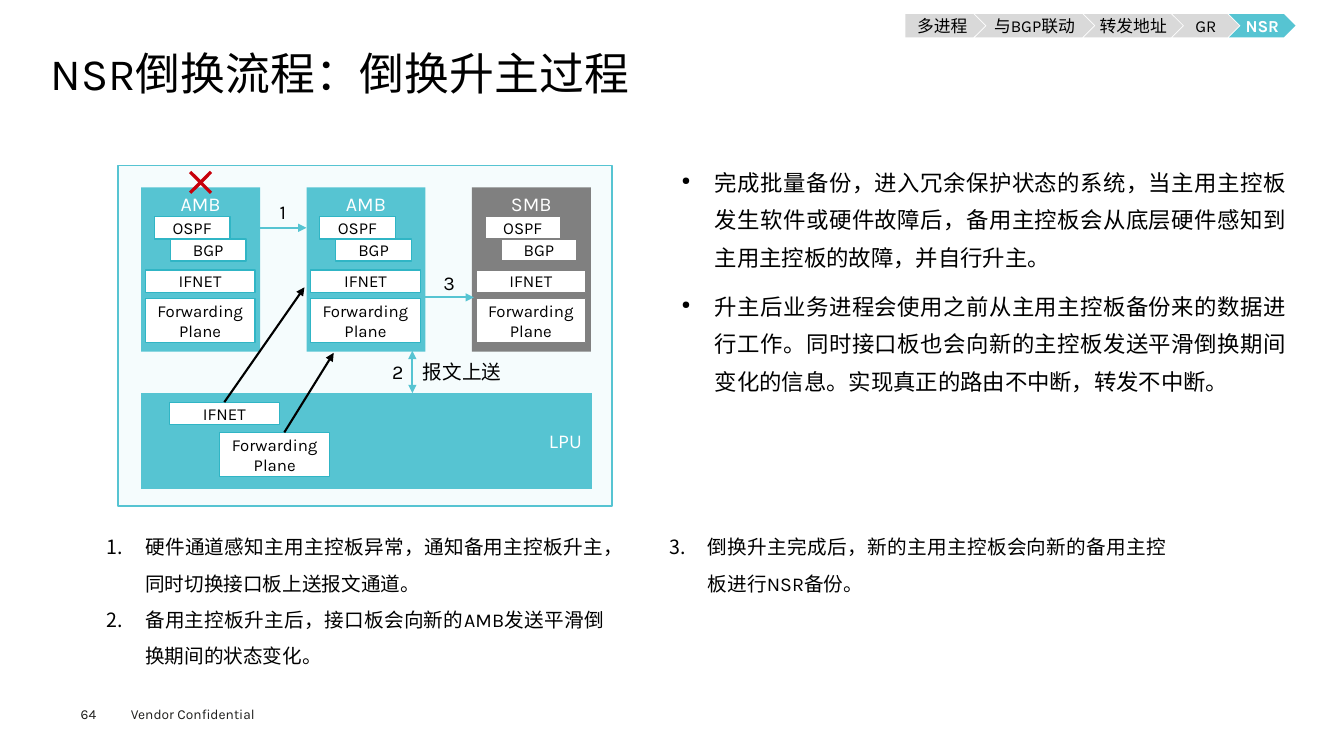
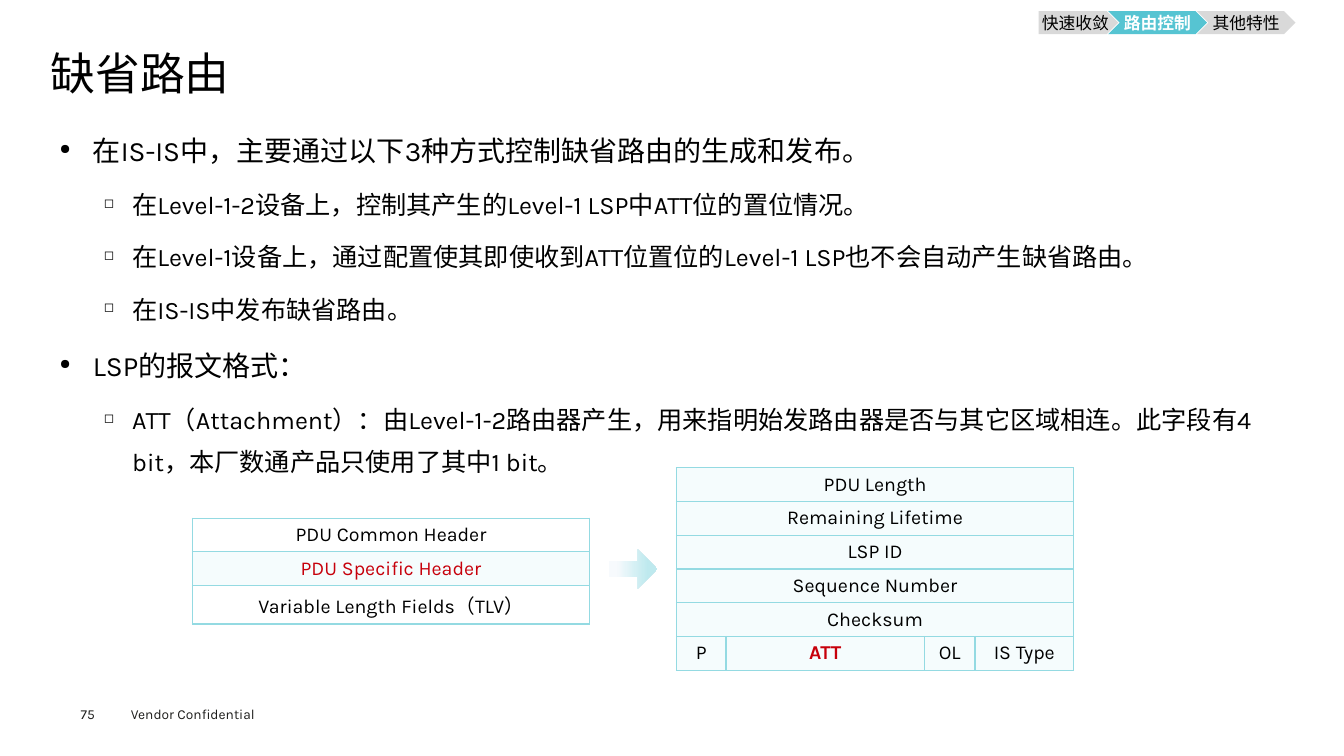
import pptx
import pptx.util
import pptx.dml.color
import pptx.enum.dml
import pptx.enum.shapes
import pptx.enum.text
import pptx.oxml
import pptx.oxml.ns

FONT = "Karla"
COLORS = {
    "ink": "000000", "footer": "1D1D1B", "white": "FFFFFF", "teal": "56C4D2",
    "teal_edge": "30B5C5", "grid": "94DAE2", "pale": "F5FCFD", "gray": "808080",
    "tab": "D9D9D9", "red": "C7000B", "fade": "F7FAFD", "arrow": "BEE9EE",
}
SHAPE = pptx.enum.shapes.MSO_SHAPE
ALIGN = pptx.enum.text.PP_ALIGN
ANCHOR = pptx.enum.text.MSO_ANCHOR
INSET = (10, 5, 10, 5)
TABS_RIGHT, TAB_OVERLAP, TAB_HEIGHT = 1285, 10, 23
FOOTER = "Vendor Confidential"

SWITCHOVER = {
    "title": "NSR倒换流程：倒换升主过程",
    "page": "64",
    "tabs": [("多进程", 79), ("与BGP联动", 118), ("转发地址", 98), ("GR", 66), ("NSR", 66)],
    "tabs_top": 14,
    "current": "NSR",
    "body_box": (667, 153, 618, 253),
    "body": [
        (0, 16, "完成批量备份，进入冗余保护状态的系统，当主用主控板发生软件或硬件故障后，"
                "备用主控板会从底层硬件感知到主用主控板的故障，并自行升主。"),
        (0, 16, "升主后业务进程会使用之前从主用主控板备份来的数据进行工作。同时接口板也会向新的"
                "主控板发送平滑倒换期间变化的信息。实现真正的路由不中断，转发不中断。"),
    ],
}
BOARDS = [("AMB", 140, "teal", "teal_edge"), ("AMB", 304, "teal", "teal_edge"),
          ("SMB", 468, "gray", "gray")]
# name, offset from the board's left, top, width, height
MODULES = [("OSPF", 13, 215, 75, 22), ("BGP", 29, 237, 75, 22),
           ("IFNET", 4, 268, 109, 22), ("Forwarding Plane", 4, 296, 109, 44)]
LABELS = [("1", (262, 193, 37, 34)), ("2", (376, 352, 37, 34)),
          ("3", (427, 264, 37, 34)), ("报文上送", (408, 352, 101, 34))]
# start, end, colour, arrowheads
ARROWS = [((256, 226), (304, 226), "teal", ["tail"]),
          ((422, 295), (470, 295), "teal", ["tail"]),
          ((409, 348), (409, 390), "teal", ["head", "tail"]),
          ((282, 429), (331, 350), "ink", ["tail"])]
STEP_COLUMNS = [
    (98, 1, ["硬件通道感知主用主控板异常，通知备用主控板升主，同时切换接口板上送报文通道。",
             "备用主控板升主后，接口板会向新的AMB发送平滑倒换期间的状态变化。"]),
    (656, 3, ["倒换升主完成后，新的主用主控板会向新的备用主控板进行NSR备份。"]),
]

DEFAULT_ROUTE = {
    "title": "缺省路由",
    "page": "75",
    "tabs": [("快速收敛", 79), ("路由控制", 98), ("其他特性", 98)],
    "tabs_top": 11,
    "current": "路由控制",
    "body_box": (50, 115, 1235, 356),
    "body": [
        (0, 20, "在IS-IS中，主要通过以下3种方式控制缺省路由的生成和发布。"),
        (1, 18, "在Level-1-2设备上，控制其产生的Level-1 LSP中ATT位的置位情况。"),
        (1, 18, "在Level-1设备上，通过配置使其即使收到ATT位置位的Level-1 LSP也不会自动产生缺省路由。"),
        (1, 18, "在IS-IS中发布缺省路由。"),
        (0, 20, "LSP的报文格式："),
        (1, 18, "ATT（Attachment）：由Level-1-2路由器产生，用来指明始发路由器是否与其它区域相连。"
                "此字段有4 bit，本厂数通产品只使用了其中1 bit。"),
    ],
}
# each cell: text, fill, text colour, bold
PDU_ROWS = [
    [("PDU Common Header", "white", "ink", False)],
    [("PDU Specific Header", "pale", "red", False)],
    [("Variable Length Fields（TLV）", "white", "ink", False)],
]
HEADER_ROWS = [[(field, "pale", "ink", False)] for field in
               ("PDU Length", "Remaining Lifetime", "LSP ID", "Sequence Number", "Checksum")]
HEADER_ROWS.append([("P", "pale", "ink", False), ("ATT", "pale", "red", True),
                    ("OL", "pale", "ink", False), ("IS Type", "pale", "ink", False)])

# left margin, hanging indent, space before, bullet, alignment
LEVELS = [(33, 33, 7.9, "●", ALIGN.JUSTIFY), (72, 28, 7.2, "◻", ALIGN.LEFT)]


def px(length):
    """Convert px, 100 to the inch, into EMU."""
    return pptx.util.Emu(round(length * 9144))


def rgb(name):
    return pptx.dml.color.RGBColor.from_string(COLORS[name])


def child(parent, tag, **attributes):
    element = pptx.oxml.parse_xml(f"<a:{tag} {pptx.oxml.ns.nsdecls('a')}/>")
    for key, value in attributes.items():
        element.set(key, str(value))
    parent.append(element)
    return element


def style(paragraph, size, color="ink", bold=False, align=ALIGN.LEFT):
    paragraph.alignment = align
    font = paragraph.font
    font.name, font.size, font.bold = FONT, pptx.util.Pt(size), bold
    font.color.rgb = rgb(color)


def set_frame(frame, inset=INSET, anchor=ANCHOR.TOP):
    frame.word_wrap = True
    frame.auto_size = pptx.enum.text.MSO_AUTO_SIZE.NONE
    frame.vertical_anchor = anchor
    (frame.margin_left, frame.margin_top,
     frame.margin_right, frame.margin_bottom) = map(px, inset)


def add_text(slide, box, text="", size=14, color="ink", align=ALIGN.LEFT, inset=INSET):
    frame = slide.shapes.add_textbox(*map(px, box)).text_frame
    set_frame(frame, inset)
    if text:
        frame.text = text
        style(frame.paragraphs[0], size, color, align=align)
    return frame


def add_box(slide, box, fill, edge=None, text="", size=12, color="ink", bold=False,
            align=ALIGN.CENTER, anchor=ANCHOR.MIDDLE, inset=INSET, kind=SHAPE.RECTANGLE):
    shape = slide.shapes.add_shape(kind, *map(px, box))
    shape.shadow.inherit = False
    shape.fill.solid()
    shape.fill.fore_color.rgb = rgb(fill)
    if edge:
        shape.line.color.rgb = rgb(edge)
        shape.line.width = pptx.util.Pt(1)
    else:
        shape.line.fill.background()
    if text:
        set_frame(shape.text_frame, inset, anchor)
        shape.text_frame.text = text
        style(shape.text_frame.paragraphs[0], size, color, bold, align)
    return shape


def add_arrow(slide, start, end, color, ends):
    arrow = slide.shapes.add_connector(pptx.enum.shapes.MSO_CONNECTOR.STRAIGHT,
                                       *map(px, (*start, *end)))
    arrow.line.color.rgb = rgb(color)
    arrow.line.width = pptx.util.Pt(1.5)
    properties = arrow.line.color and arrow._element.spPr
    for which in ends:
        child(properties.find(pptx.oxml.ns.qn("a:ln")), which + "End", type="triangle")
    child(properties, "effectLst")
    return arrow


def add_list_item(frame, index, text, margin, hanging):
    paragraph = frame.add_paragraph() if index else frame.paragraphs[0]
    paragraph.text = text
    properties = paragraph._p.get_or_add_pPr()
    properties.set("marL", str(px(margin)))
    properties.set("indent", str(-px(hanging)))
    return paragraph, properties


def add_bullets(slide, box, items):
    frame = add_text(slide, box, inset=(9, 4, 9, 4))
    for index, (level, size, text) in enumerate(items):
        margin, hanging, before, bullet, align = LEVELS[level]
        paragraph, properties = add_list_item(frame, index, text, margin, hanging)
        paragraph.level = level
        paragraph.line_spacing = 1.4
        paragraph.space_before = pptx.util.Pt(before if index else 0)
        child(properties, "buSzPct", val=50000)
        child(properties, "buChar", char=bullet)
        style(paragraph, size, align=align)


def add_steps(slide, left, first, steps):
    frame = add_text(slide, (left, 514, 509, 151), inset=(8, 4, 8, 4))
    for index, step in enumerate(steps):
        paragraph, properties = add_list_item(frame, index, step, 38, 38)
        paragraph.line_spacing = pptx.util.Pt(26)
        child(properties, "buAutoNum", type="arabicPeriod", startAt=first)
        style(paragraph, 14, align=ALIGN.JUSTIFY)


def add_field_table(slide, left, top, height, widths, rows):
    """Draw packet fields; a row with one field spans all columns."""
    table = slide.shapes.add_table(len(rows), len(widths), px(left), px(top),
                                   px(sum(widths)), px(height)).table
    table.first_row = table.horz_banding = False
    for column, width in zip(table.columns, widths):
        column.width = px(width)
    for r, fields in enumerate(rows):
        table.rows[r].height = px(height / len(rows))
        if len(fields) < len(widths):
            table.cell(r, 0).merge(table.cell(r, len(widths) - 1))
        for c, (text, fill, color, bold) in enumerate(fields):
            cell = table.cell(r, c)
            cell.text = text
            cell.vertical_anchor = ANCHOR.MIDDLE
            style(cell.text_frame.paragraphs[0], 14, color, bold, ALIGN.CENTER)
            cell.fill.solid()
            cell.fill.fore_color.rgb = rgb(fill)
        for c in range(len(widths)):
            add_borders(table.cell(r, c))


def add_borders(cell):
    properties = cell._tc.get_or_add_tcPr()
    for index, side in enumerate("LRTB"):
        border = child(properties, "ln" + side, w=pptx.util.Pt(1))
        child(child(border, "solidFill"), "srgbClr", val=COLORS["grid"])
        properties.insert(index, border)


def add_tabs(slide, tabs, current, top):
    left = TABS_RIGHT - sum(width for _, width in tabs) + TAB_OVERLAP * (len(tabs) - 1)
    for index, (text, width) in enumerate(tabs):
        active = text == current
        add_box(slide, (left, top, width, TAB_HEIGHT), "teal" if active else "tab",
                text=text, color="white" if active else "ink", bold=active,
                inset=(0, 0, 0, 0), kind=SHAPE.CHEVRON if index else SHAPE.PENTAGON)
        left += width - TAB_OVERLAP


def add_slide(deck, content):
    """Add a slide with the shared title, tabs, body and footer."""
    slide = deck.slides.add_slide(deck.slide_layouts[5])
    title = slide.shapes.title
    title.left, title.top, title.width, title.height = map(px, (50, 49, 1235, 53))
    set_frame(title.text_frame, (0, 0, 0, 0), ANCHOR.MIDDLE)
    title.text_frame.text = content["title"]
    heading = title.text_frame.paragraphs[0]
    heading.line_spacing = 0.9
    style(heading, 32)
    add_bullets(slide, content["body_box"], content["body"])
    add_tabs(slide, content["tabs"], content["current"], content["tabs_top"])
    add_text(slide, (120, 695, 160, 27), FOOTER, 9.8, "footer")
    add_text(slide, (80, 700, 55, 16), content["page"], 9.8, "footer", inset=(0, 0, 0, 0))
    return slide


def draw_switchover(slide):
    add_box(slide, (117, 164, 490, 338), "pale", "teal")
    for name, left, fill, edge in BOARDS:
        add_box(slide, (left, 186, 118, 163), fill, text=name, size=14, color="white",
                anchor=ANCHOR.TOP)
        for module, offset, top, width, height in MODULES:
            add_box(slide, (left + offset, top, width, height), "white", edge, module)
    add_box(slide, (140, 390, 447, 95), "teal", text="LPU", size=14, color="white",
            align=ALIGN.RIGHT)
    ifnet = add_box(slide, (168, 399, 109, 22), "white", "teal_edge", "IFNET")
    add_box(slide, (218, 429, 109, 44), "white", "teal_edge", "Forwarding Plane")
    for arrow in ARROWS:
        add_arrow(slide, *arrow)
    add_arrow(slide, (223, 399), (302, 285), "ink", ["tail"]).begin_connect(ifnet, 0)
    for text, box in LABELS:
        add_text(slide, box, text, align=ALIGN.CENTER, inset=(0, 5, 0, 5))
    failure = add_box(slide, (179, 161, 40, 40), "red", kind=SHAPE.MATH_MULTIPLY)
    failure.adjustments[0] = 0.08
    for column in STEP_COLUMNS:
        add_steps(slide, *column)


def draw_packet_format(slide):
    add_field_table(slide, 191, 514, 100, [394], PDU_ROWS)
    add_field_table(slide, 671, 464, 201, [49, 197, 50, 98], HEADER_ROWS)
    expand = add_box(slide, (604, 545, 48, 39), "arrow", kind=SHAPE.RIGHT_ARROW)
    expand.adjustments[0] = 0.4
    expand.fill.gradient()
    expand.fill.gradient_angle = 0
    for stop, color, position in zip(expand.fill.gradient_stops, ("fade", "arrow"), (0.15, 0.81)):
        stop.color.rgb = rgb(color)
        stop.position = position


def main():
    deck = pptx.Presentation()
    deck.slide_width, deck.slide_height = px(1333), px(750)
    draw_switchover(add_slide(deck, SWITCHOVER))
    draw_packet_format(add_slide(deck, DEFAULT_ROUTE))
    deck.save("out.pptx")


if __name__ == "__main__":
    main()
